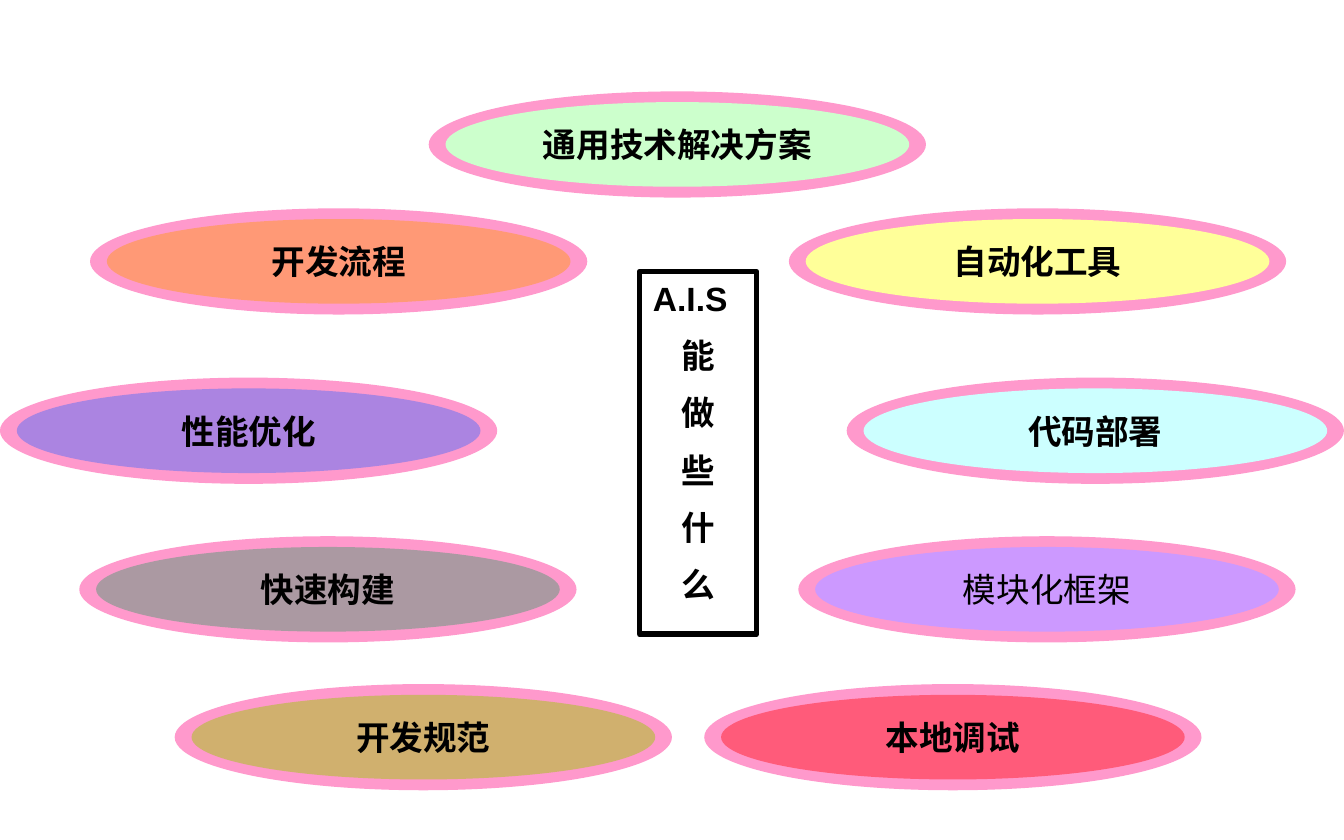
from lxml import etree
from pptx import Presentation
from pptx.dml.color import RGBColor
from pptx.enum.shapes import MSO_SHAPE
from pptx.enum.text import MSO_ANCHOR, MSO_AUTO_SIZE, PP_ALIGN
from pptx.oxml.ns import qn
from pptx.util import Inches, Pt

OVAL, RECT = MSO_SHAPE.OVAL, MSO_SHAPE.RECTANGLE
MIDDLE, TOP = MSO_ANCHOR.MIDDLE, MSO_ANCHOR.TOP
FIT_SHAPE = MSO_AUTO_SIZE.SHAPE_TO_FIT_TEXT
LEFT, CENTER = PP_ALIGN.LEFT, PP_ALIGN.CENTER

BLACK = RGBColor(0x00, 0x00, 0x00)
PINK = RGBColor(0xFF, 0x99, 0xCC)
ORANGE = RGBColor(0xFF, 0x99, 0x00)
MINT = RGBColor(0xCC, 0xFF, 0xCC)
BLUE = RGBColor(0x33, 0x66, 0xFF)
YELLOW = RGBColor(0xFF, 0xFF, 0x99)
AQUA = RGBColor(0xCC, 0xFF, 0xFF)
GREEN = RGBColor(0x33, 0x99, 0x66)
VIOLET = RGBColor(0xCC, 0x99, 0xFF)
LIME = RGBColor(0x99, 0xCC, 0x00)
RED = RGBColor(0xFF, 0x00, 0x00)

FONT, SIZE = "Arial", 18
RIM_W, RIM_H = 3.7, 0.79
FACE_W, FACE_H = 3.45, 0.63

# text, left, top, face colour, opacity in percent, bold
TOPICS = [
    ("开发流程", 0.67, 1.55, ORANGE, 42, True),
    ("通用技术解决方案", 3.19, 0.68, MINT, 100, True),
    ("性能优化", 0, 2.81, BLUE, 41, True),
    ("自动化工具", 5.87, 1.55, YELLOW, 100, True),
    ("代码部署", 6.3, 2.81, AQUA, 100, True),
    ("快速构建", 0.59, 3.99, GREEN, 41, True),
    ("模块化框架", 5.94, 3.99, VIOLET, 100, False),
    ("开发规范", 1.3, 5.09, LIME, 46, True),
    ("本地调试", 5.24, 5.09, RED, 40, True),
]
QUESTION = ["A.I.S", *"能做些什么"]


def add_run(p, text, bold=True):
    r = p.add_run()
    r.text = text
    r.font.name = FONT
    r.font.size = Pt(SIZE)
    r.font.bold = bold
    r.font.color.rgb = BLACK


def add_oval(group, left, top, width, height, color, opacity=100):
    sp = group.shapes.add_shape(
        OVAL, Inches(left), Inches(top), Inches(width), Inches(height))
    sp.shadow.inherit = False
    sp.line.fill.background()
    sp.fill.solid()
    sp.fill.fore_color.rgb = color
    if opacity < 100:
        clr = sp.fill._xPr.find(qn("a:solidFill"))[0]
        etree.SubElement(clr, qn("a:alpha"), val=str(opacity * 1000))
    return sp


def add_topic(s, text, left, top, color, opacity, bold):
    group = s.shapes.add_group_shape()
    add_oval(group, left, top, RIM_W, RIM_H, PINK)
    face = add_oval(group, left + (RIM_W - FACE_W) / 2,
                    top + (RIM_H - FACE_H) / 2,
                    FACE_W, FACE_H, color, opacity)
    tf = face.text_frame
    tf.word_wrap = False
    tf.vertical_anchor = MIDDLE
    p = tf.paragraphs[0]
    p.alignment = CENTER
    add_run(p, text, bold)


def add_question(s, lines):
    sp = s.shapes.add_shape(
        RECT, Inches(4.76), Inches(2.02), Inches(0.87), Inches(2.7))
    sp.shadow.inherit = False
    sp.fill.background()
    sp.line.color.rgb = BLACK
    sp.line.width = Pt(3)
    tf = sp.text_frame
    tf.word_wrap = True
    tf.auto_size = FIT_SHAPE
    tf.vertical_anchor = TOP
    for i, text in enumerate(lines):
        p = tf.add_paragraph() if i else tf.paragraphs[0]
        p.alignment = CENTER if i else LEFT
        # Space before each line is half a line
        before = etree.SubElement(p._p.get_or_add_pPr(), qn("a:spcBef"))
        etree.SubElement(before, qn("a:spcPct"), val="50000")
        add_run(p, text)


def main():
    prs = Presentation()
    prs.slide_width, prs.slide_height = Inches(10), Inches(6.25)
    s = prs.slides.add_slide(prs.slide_layouts[6])

    # Ring of topics
    for topic in TOPICS:
        add_topic(s, *topic)

    # Vertical question in the centre
    add_question(s, QUESTION)
    prs.save("out.pptx")


if __name__ == "__main__":
    main()
